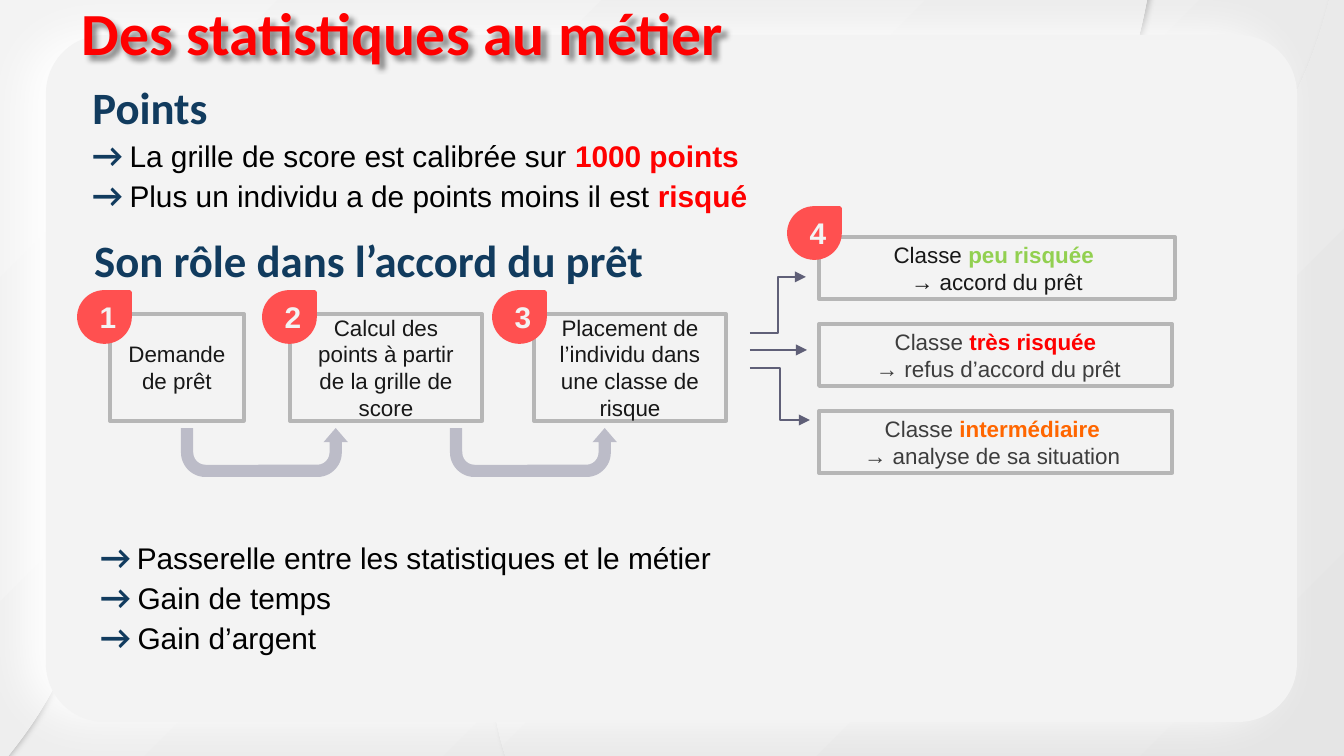
from lxml.etree import SubElement
from pptx import Presentation
from pptx.dml.color import RGBColor
from pptx.enum.shapes import MSO_CONNECTOR, MSO_SHAPE
from pptx.enum.text import MSO_ANCHOR, MSO_AUTO_SIZE, PP_ALIGN
from pptx.oxml.ns import qn
from pptx.util import Pt

SCALE = 914400 / 134.4
NAVY, RED, CORAL, BLACK = "113B5E", "FF0000", "FF5050", "000000"
PALE, BORDER, INK, GREY = "F3F3F3", "B6B6B6", "181818", "3D3D3D"


def px(length):
    return round(length * SCALE)


def color(value):
    return RGBColor.from_string(value)


def place(shape, box):
    shape.left, shape.top, shape.width, shape.height = map(px, box)


def paint(shape, fill, line=None):
    shape.shadow.inherit = False
    shape.fill.solid()
    shape.fill.fore_color.rgb = color(fill)
    if line:
        shape.line.color.rgb = color(line)
        shape.line.width = Pt(2)
    else:
        shape.line.fill.background()


def paint_gradient(fill):
    fill.gradient()
    fill.gradient_angle = 315
    for stop, position, value in zip(fill.gradient_stops, (0, 1), (PALE, "E5E5E5")):
        stop.position = position
        stop.color.rgb = color(value)


def add_shadow(shape, value, opacity, blur, distance, direction):
    shape.shadow.inherit = False
    effects = shape._element.spPr.find(qn("a:effectLst"))
    shadow = SubElement(effects, qn("a:outerShdw"), blurRad=str(Pt(blur)), dist=str(Pt(distance)),
                        dir=str(direction * 60000), algn="bl", rotWithShape="0")
    tint = SubElement(shadow, qn("a:srgbClr"), val=value)
    SubElement(tint, qn("a:alpha"), val=str(opacity * 1000))


def write(shape, lines, align=PP_ALIGN.LEFT, anchor=MSO_ANCHOR.TOP):
    frame = shape.text_frame
    frame.word_wrap = True
    frame.auto_size = MSO_AUTO_SIZE.NONE
    frame.vertical_anchor = anchor
    for index, runs in enumerate(lines):
        paragraph = frame.add_paragraph() if index else frame.paragraphs[0]
        properties = paragraph._p.get_or_add_pPr()
        properties.set("marL", "0")
        properties.set("indent", "0")
        SubElement(properties, qn("a:buNone"))
        paragraph.alignment = align
        paragraph.line_spacing = 1.0
        paragraph.space_before = paragraph.space_after = Pt(0)
        for text, size, name, value, bold in runs:
            run = paragraph.add_run()
            run.text = text
            run.font.size = Pt(size)
            run.font.name = name
            run.font.color.rgb = color(value)
            run.font.bold = bold


def heading(text, size=24, value=NAVY):
    return [(text, size, "Calibri", value, True)]


def arrow_line(text, emphasis=None, gap=16):
    runs = [("→", 18, "Calibri", NAVY, True), (" ", gap, "Calibri", NAVY, True),
            (text, 16, "Arial", BLACK, False)]
    if emphasis:
        runs.append((emphasis, 16, "Arial", RED, True))
    return runs


def add_wave(slide, left, top):
    start = (1239, 222)
    outline = [
        ((1146, 320), (989, 336), (1077, 222)),
        ((1126, 158), (1146, 66), (1154, 0)),
        ((0, 0),),
        ((0, 812),),
        ((23, 784), (65, 734), (91, 639)),
        ((161, 389), (366, 379), (444, 471)),
        ((531, 574), (418, 836), (613, 922)),
        ((1344, 922),),
        ((1344, 0),),
        ((1339, 0),),
        ((1329, 58), (1304, 155), start),
    ]
    builder = slide.shapes.build_freeform(*start, scale=SCALE)
    builder.add_line_segments([segment[-1] for segment in outline], close=True)
    wave = builder.convert_to_shape(px(left), px(top))
    for line, segment in zip(list(wave._element.iter(qn("a:lnTo"))), outline):
        if len(segment) == 3:
            curve = line.makeelement(qn("a:cubicBezTo"))
            for x, y in segment:
                SubElement(curve, qn("a:pt"), x=str(x), y=str(y))
            line.getparent().replace(line, curve)
    paint_gradient(wave.fill)
    wave.line.fill.background()
    add_shadow(wave, "B7B7B7", 91, 2.2, 1.5, 0)
    return wave


def add_backdrop(slide, box):
    paint_gradient(slide.background.fill)
    wave = add_wave(slide, 0, -46)
    panel = slide.shapes.add_shape(MSO_SHAPE.ROUNDED_RECTANGLE, *map(px, box))
    panel.adjustments[0] = 0.085
    paint(panel, PALE)
    add_shadow(panel, "FFFFFF", 100, 24.8, 11.2, 185)
    for shape in (wave, panel):
        slide.shapes.title._element.addprevious(shape._element)


def add_title(slide, box):
    title = slide.shapes.title
    place(title, box)
    write(title, [heading("Des statistiques au métier", 32, RED)])
    add_shadow(title, BLACK, 43, 3, 3, 45)


def add_list(placeholder, box, lines):
    place(placeholder, box)
    write(placeholder, lines)


def add_section_heading(slide, box, text):
    write(slide.shapes.add_textbox(*map(px, box)), [heading(text)])


def add_badge(slide, left, top, number):
    badge = slide.shapes.add_shape(MSO_SHAPE.TEAR, px(left), px(top), px(51), px(50))
    paint(badge, CORAL, CORAL)
    write(badge, [[(number, 16, "Arial", PALE, True)]], PP_ALIGN.CENTER, MSO_ANCHOR.MIDDLE)


def add_card(slide, box, lines):
    card = slide.shapes.add_shape(MSO_SHAPE.RECTANGLE, *map(px, box))
    paint(card, PALE, BORDER)
    write(card, lines, PP_ALIGN.CENTER, MSO_ANCHOR.MIDDLE)


def add_steps(slide, left, top):
    steps = [
        (31, 134, 0, "Demande de prêt"),
        (211, 192, 185, "Calcul des points à partir de la grille de score"),
        (455, 192, 415, "Placement de l’individu dans une classe de risque"),
    ]
    for number, (offset, width, badge_offset, text) in enumerate(steps, 1):
        add_card(slide, (left + offset, top + 22, width, 107), [[(text, 12, "Arial", INK, False)]])
        add_badge(slide, left + badge_offset, top, str(number))
    for offset in (102, 371):
        arrow = slide.shapes.add_shape(MSO_SHAPE.U_TURN_ARROW, px(left + offset), px(top + 136), px(167), px(49))
        for index, value in enumerate((0.25, 0.25, 0.29, 0.5, 1)):
            arrow.adjustments[index] = value
        arrow.rotation = 180
        arrow._element.spPr.find(qn("a:xfrm")).set("flipH", "1")
        paint(arrow, "BCBCC8")


def add_branches(slide, left, middle):
    branches = [
        (MSO_CONNECTOR.ELBOW, -17, 56, -73),
        (MSO_CONNECTOR.STRAIGHT, 0, 57, 0),
        (MSO_CONNECTOR.ELBOW, 18, 60, 70),
    ]
    for kind, start, width, end in branches:
        connector = slide.shapes.add_connector(
            kind, px(left), px(middle + start), px(left + width), px(middle + end))
        connector.line.color.rgb = color("5F5F77")
        connector.line.width = Pt(0.75)
        SubElement(connector.line._get_or_add_ln(), qn("a:tailEnd"), type="triangle")
        SubElement(connector._element.spPr, qn("a:effectLst"))


def add_outcomes(slide, left, top):
    outcomes = [
        (356, "peu risquée ", "92D050", "→ accord du prêt", INK),
        (353, "très risquée", RED, " → refus d’accord du prêt", GREY),
        (353, "intermédiaire ", "FF6600", "→ analyse de sa situation ", GREY),
    ]
    for index, (width, level, level_color, decision, ink) in enumerate(outcomes):
        add_card(slide, (left, top + index * 87, width, 62), [
            [("Classe ", 12, "Arial", ink, False), (level, 12, "Arial", level_color, True)],
            [(decision, 12, "Arial", ink, False)],
        ])
    add_badge(slide, left - 30, top - 29, "4")


def main():
    presentation = Presentation()
    presentation.slide_width, presentation.slide_height = px(1344), px(756)
    slide = presentation.slides.add_slide(presentation.slide_layouts[3])
    add_backdrop(slide, (46, 35, 1251, 687))
    add_title(slide, (68, -11, 723, 86))
    add_list(slide.placeholders[1], (79, 73, 990, 181), [
        heading("Points"),
        arrow_line("La grille de score est calibrée sur ", "1000 points"),
        arrow_line("Plus un individu a de points moins il est ", "risqué"),
    ])
    add_section_heading(slide, (81, 226, 990, 163), "Son rôle dans l’accord du prêt")
    add_steps(slide, 79, 292)
    add_branches(slide, 750, 350)
    add_outcomes(slide, 819, 237)
    add_list(slide.placeholders[2], (87, 529, 679, 176), [
        arrow_line("Passerelle entre les statistiques et le métier", gap=14),
        arrow_line("Gain de temps"),
        arrow_line("Gain d’argent"),
    ])
    presentation.save("out.pptx")


if __name__ == "__main__":
    main()
